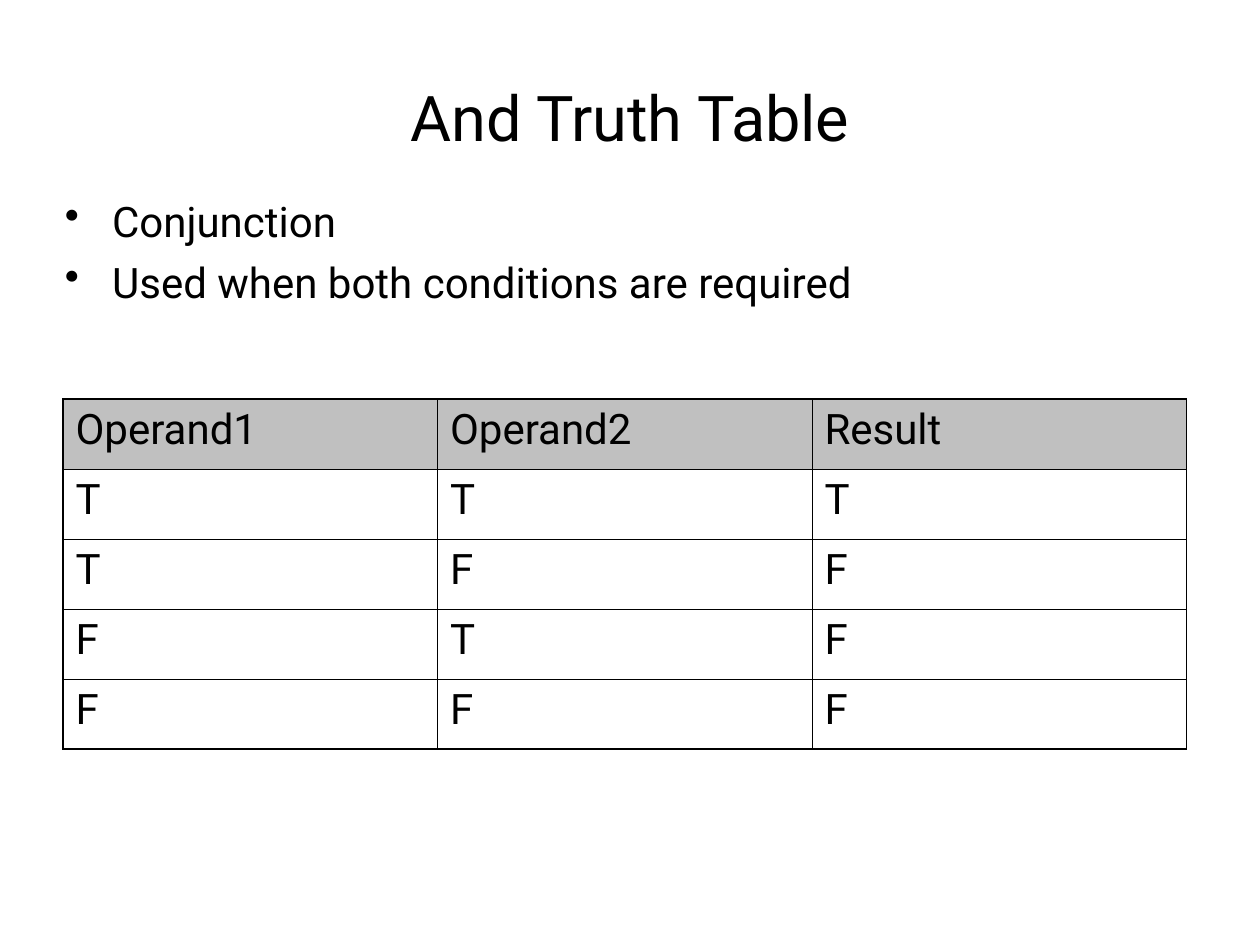
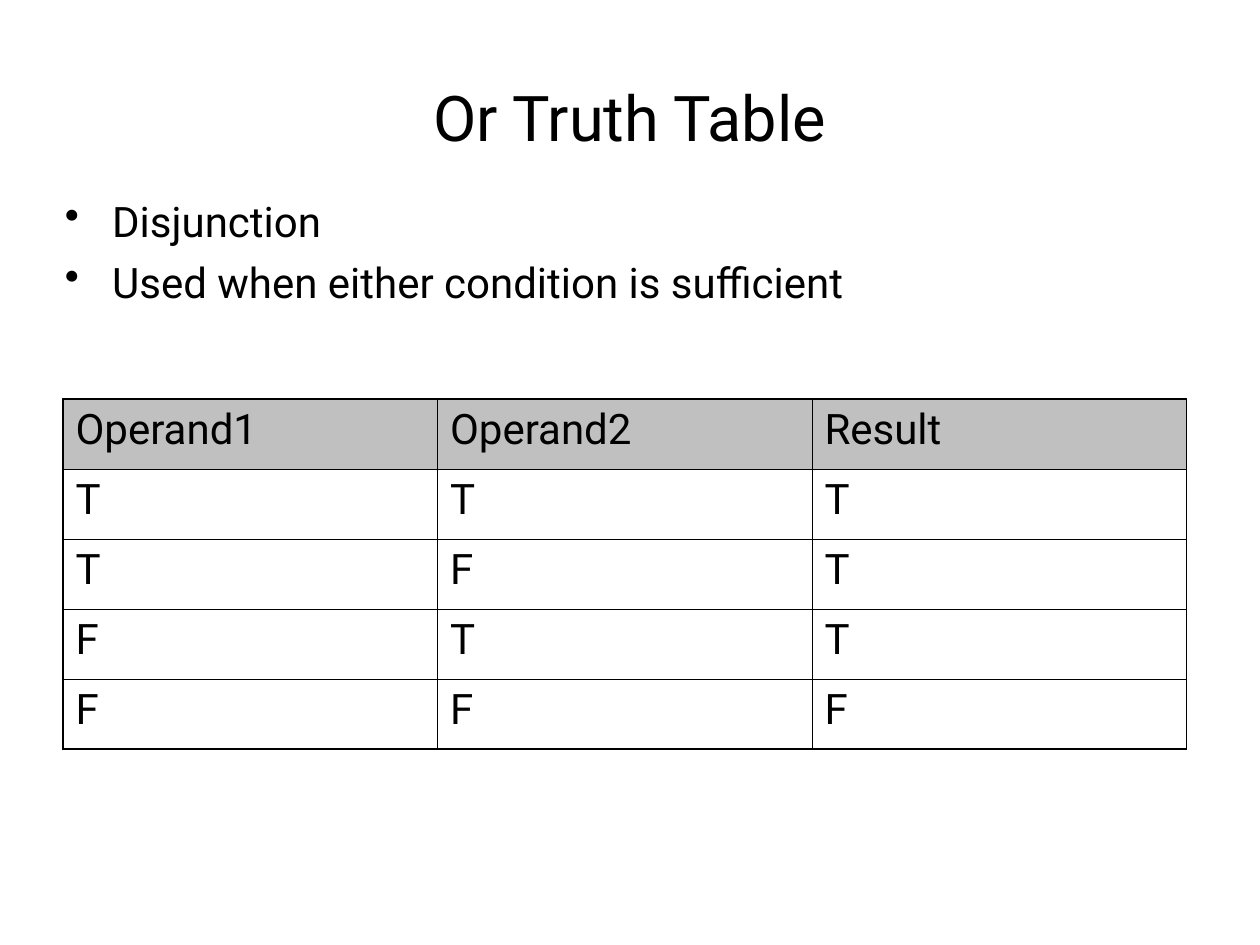
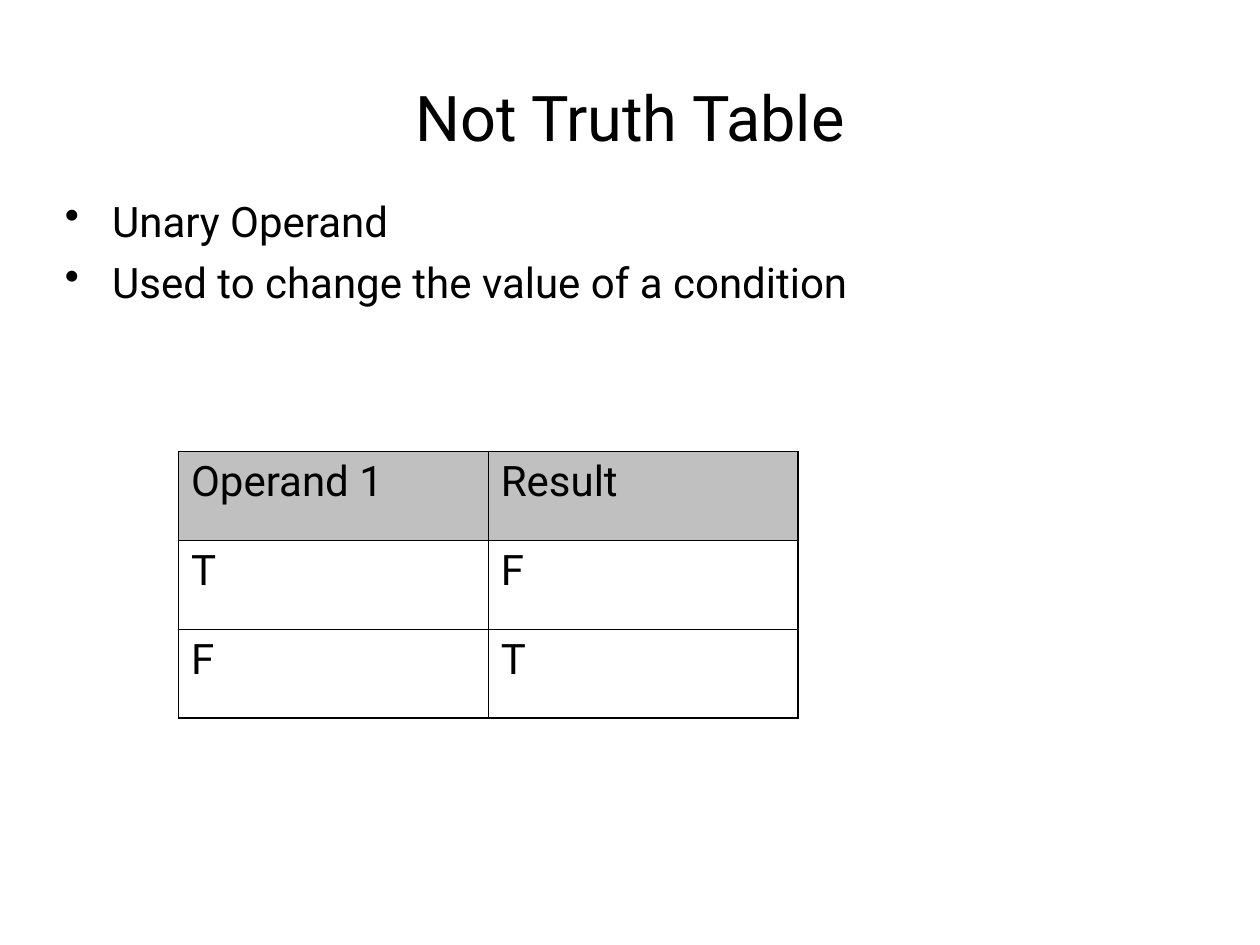
"""Build three slides on the And, Or and Not truth tables."""
from dataclasses import dataclass

from pptx import Presentation
from pptx.dml.color import RGBColor
from pptx.enum import text as t
from pptx.oxml import xmlchemy as x
from pptx.util import Pt

BINARY_GRID = {"left": 36, "top": 228, "column": 214, "row": 40}
UNARY_GRID = {"left": 102, "top": 258, "column": 177, "row": 50.8}

LESSONS = [
    {
        "title": "And Truth Table",
        "points": ["Conjunction", "Used when both conditions are required"],
        "rows": [("Operand1", "Operand2", "Result"), "TTT", "TFF", "FTF", "FFF"],
        "grid": BINARY_GRID,
    },
    {
        "title": "Or Truth Table",
        "points": ["Disjunction", "Used when either condition is sufficient"],
        "rows": [("Operand1", "Operand2", "Result"), "TTT", "TFT", "FTT", "FFF"],
        "grid": BINARY_GRID,
    },
    {
        "title": "Not Truth Table",
        "points": ["Unary Operand", "Used to change the value of a condition"],
        "rows": [("Operand 1", "Result"), "TF", "FT"],
        "grid": UNARY_GRID,
    },
]

TITLE_AREA = (36, 21.6, 648, 90)
POINTS_AREA = (30, 108, 660, 162)


@dataclass(frozen=True)
class Theme:
    font: str = "Roboto"
    ink: str = "000000"
    header: str = "C0C0C0"
    title: float = 36
    body: float = 24
    gap: float = 6
    indent: float = 27
    outer: float = 1.08
    inner: float = 0.45


THEME = Theme()


def write(frame, lines, size=THEME.body, align=t.PP_ALIGN.LEFT,
          anchor=t.MSO_ANCHOR.TOP, bullet=None):
    frame.word_wrap = True
    frame.vertical_anchor = anchor
    for index, line in enumerate(lines):
        paragraph = frame.paragraphs[0] if index == 0 else frame.add_paragraph()
        if bullet:
            properties = paragraph._p.get_or_add_pPr()
            properties.set("marL", str(Pt(THEME.indent)))
            properties.set("indent", str(-Pt(THEME.indent)))
            mark = x.OxmlElement("a:buChar")
            mark.set("char", bullet)
            properties.append(mark)
        paragraph.alignment = align
        paragraph.space_before = Pt(THEME.gap if index else 0)
        run = paragraph.add_run()
        run.text = line
        run.font.name = THEME.font
        run.font.size = Pt(size)
        run.font.color.rgb = RGBColor.from_string(THEME.ink)


def add_text(slide, area, lines, **style):
    box = slide.shapes.add_textbox(*map(Pt, area))
    write(box.text_frame, lines, **style)


def add_border(cell, side, width):
    edge = x.OxmlElement(f"a:ln{side}")
    edge.set("w", str(Pt(width)))
    fill = x.OxmlElement("a:solidFill")
    color = x.OxmlElement("a:srgbClr")
    color.set("val", THEME.ink)
    fill.append(color)
    edge.append(fill)
    cell._tc.get_or_add_tcPr().append(edge)


def add_truth_table(slide, rows, grid):
    height, width = len(rows), len(rows[0])
    table = slide.shapes.add_table(
        height, width, Pt(grid["left"]), Pt(grid["top"]),
        Pt(grid["column"] * width), Pt(grid["row"] * height)).table
    table.first_row = table.horz_banding = False
    for column in table.columns:
        column.width = Pt(grid["column"])
    for r, values in enumerate(rows):
        table.rows[r].height = Pt(grid["row"])
        for c, value in enumerate(values):
            cell = table.cell(r, c)
            write(cell.text_frame, [value])
            on_rim = {"L": c == 0, "R": c == width - 1,
                      "T": r == 0, "B": r == height - 1}
            for side, rim in on_rim.items():
                add_border(cell, side, THEME.outer if rim else THEME.inner)
            if r == 0:
                cell.fill.solid()
                cell.fill.fore_color.rgb = RGBColor.from_string(THEME.header)
            else:
                cell.fill.background()


def main():
    deck = Presentation()
    deck.slide_width, deck.slide_height = Pt(720), Pt(540)
    for lesson in LESSONS:
        slide = deck.slides.add_slide(deck.slide_layouts[6])
        add_text(slide, TITLE_AREA, [lesson["title"]], size=THEME.title,
                 align=t.PP_ALIGN.CENTER, anchor=t.MSO_ANCHOR.MIDDLE)
        add_text(slide, POINTS_AREA, lesson["points"], bullet="•")
        add_truth_table(slide, lesson["rows"], lesson["grid"])
    deck.save("out.pptx")


if __name__ == "__main__":
    main()
